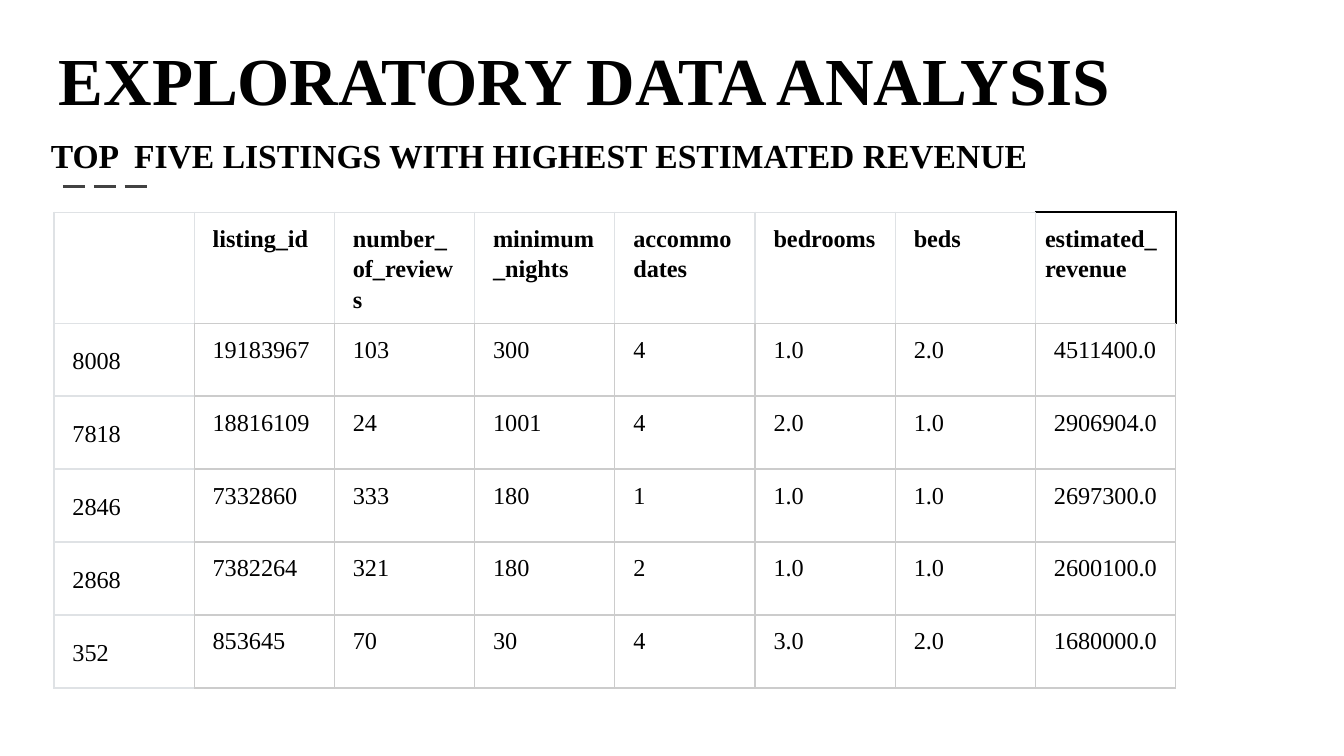
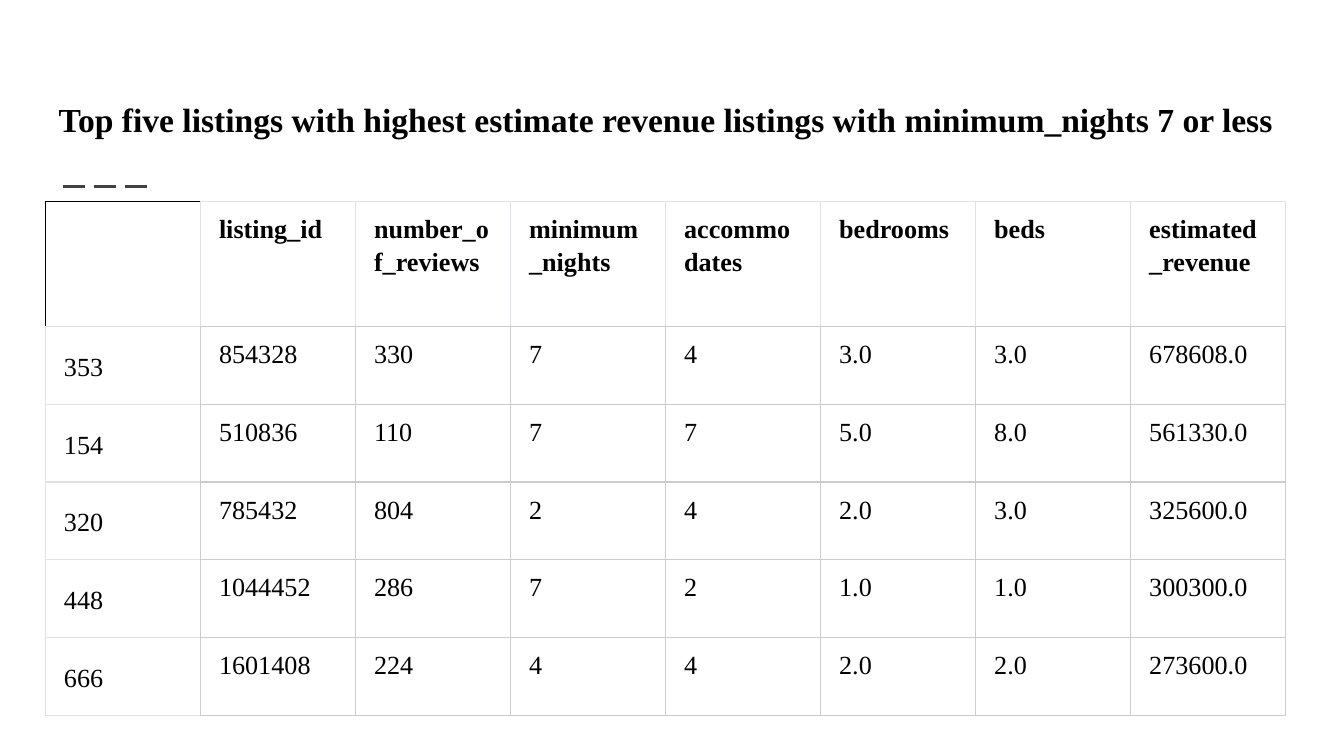
"""Build two slides of listing tables from an exploratory data analysis."""
from dataclasses import dataclass

from lxml import etree
from pptx import Presentation
from pptx import util as u
from pptx.dml.color import RGBColor
from pptx.enum import dml, shapes, text
from pptx.oxml import ns


@dataclass(frozen=True)
class Theme:
    font: str = "Times New Roman"
    ink: str = "000000"
    paper: str = "FFFFFF"
    dash: str = "424242"
    grid: str = "CCCCCC"
    pale: str = "DFE2E5"
    title_pt: int = 36
    lead_pt: int = 18
    spacing: float = 1.15
    text_inset: float = 0.25
    cell_side: float = 0.35
    cell_top: float = 0.18


HEADERS = ["", "listing_id", "number_of_reviews", "minimum_nights",
           "accommodates", "bedrooms", "beds", "estimated_revenue"]

TOP_REVENUE = [
    ["8008", "19183967", "103", "300", "4", "1.0", "2.0", "4511400.0"],
    ["7818", "18816109", "24", "1001", "4", "2.0", "1.0", "2906904.0"],
    ["2846", "7332860", "333", "180", "1", "1.0", "1.0", "2697300.0"],
    ["2868", "7382264", "321", "180", "2", "1.0", "1.0", "2600100.0"],
    ["352", "853645", "70", "30", "4", "3.0", "2.0", "1680000.0"],
]

SHORT_STAYS = [
    ["353", "854328", "330", "7", "4", "3.0", "3.0", "678608.0"],
    ["154", "510836", "110", "7", "7", "5.0", "8.0", "561330.0"],
    ["320", "785432", "804", "2", "4", "2.0", "3.0", "325600.0"],
    ["448", "1044452", "286", "7", "2", "1.0", "1.0", "300300.0"],
    ["666", "1601408", "224", "4", "4", "2.0", "2.0", "273600.0"],
]


class Deck:
    """Hold the theme and the current slide."""

    def __init__(self, theme):
        self.theme = theme
        self.prs = Presentation()
        self.prs.slide_width, self.prs.slide_height = u.Cm(25.4), u.Cm(14.29)
        self.s = None

    def add_slide(self):
        """Start a slide with the dashed rule behind its text."""
        self.s = self.prs.slides.add_slide(self.prs.slide_layouts[1])
        fill = self.s.background.fill
        fill.solid()
        fill.fore_color.rgb = RGBColor.from_string(self.theme.paper)
        self.rule(1.19, 2.9, 3.53)

    def rule(self, x1, x2, y):
        """Draw a dashed horizontal line at the back."""
        line = self.s.shapes.add_connector(
            shapes.MSO_CONNECTOR.STRAIGHT, u.Cm(x1), u.Cm(y), u.Cm(x2), u.Cm(y))
        line.line.color.rgb = RGBColor.from_string(self.theme.dash)
        line.line.width = u.Pt(1.5)
        line.line.dash_style = dml.MSO_LINE.LONG_DASH
        etree.SubElement(line._element.spPr, ns.qn("a:effectLst"))
        self.s.shapes._spTree.insert(2, line._element)

    def add_text(self, p, words, size, bold=True):
        """Add one left-aligned run to a paragraph."""
        p.alignment = text.PP_ALIGN.LEFT
        r = p.add_run()
        r.text = words
        r.font.name, r.font.size, r.font.bold = self.theme.font, u.Pt(size), bold
        r.font.color.rgb = RGBColor.from_string(self.theme.ink)

    def fill_placeholder(self, sp, box, words, size, anchor):
        """Place a placeholder and set its text."""
        sp.left, sp.top, sp.width, sp.height = map(u.Cm, box)
        tf = sp.text_frame
        tf.word_wrap, tf.auto_size = True, text.MSO_AUTO_SIZE.NONE
        tf.vertical_anchor = anchor
        tf.margin_left = tf.margin_right = u.Cm(self.theme.text_inset)
        tf.margin_top = tf.margin_bottom = u.Cm(self.theme.text_inset)
        p = tf.paragraphs[0]
        p.space_before = u.Pt(0)
        self.add_text(p, words, size)
        return p

    def title(self, words=None):
        """Set the title, or drop its placeholder."""
        sp = self.s.shapes.title
        if words:
            self.fill_placeholder(sp, (0.86, 0.46, 23.67, 2.03), words,
                                  self.theme.title_pt, text.MSO_ANCHOR.BOTTOM)
        else:
            sp._element.getparent().remove(sp._element)

    def lead(self, words, box):
        """Set the unbulleted lead line in the body placeholder."""
        p = self.fill_placeholder(self.s.placeholders[1], box, words,
                                  self.theme.lead_pt, text.MSO_ANCHOR.TOP)
        p.line_spacing = self.theme.spacing
        pPr = p._p.get_or_add_pPr()
        pPr.set("marL", "0")
        pPr.set("indent", "0")
        etree.SubElement(pPr, ns.qn("a:buNone"))

    def borders(self, cell, edges):
        """Set the left, right, top and bottom borders of a cell."""
        tcPr = cell._tc.get_or_add_tcPr()
        for side in "LRTB":
            color = edges[side]
            width = u.Pt(1 if color == self.theme.ink else 0.75)
            ln = etree.SubElement(tcPr, ns.qn(f"a:ln{side}"), w=str(width))
            fill = etree.SubElement(ln, ns.qn("a:solidFill"))
            etree.SubElement(fill, ns.qn("a:srgbClr"), val=color)

    def edge_colors(self, row, col):
        """Give the usual border colours for a place in the grid."""
        t = self.theme
        edges = dict.fromkeys("LRTB", t.grid if row and col else t.pale)
        if row and not col:
            edges["R"] = t.grid
        if col and not row:
            edges["B"] = t.grid
        return edges

    def table(self, rows, left, top, col_width, heights, size, accent):
        """Draw the listing table; accent maps a header column to dark sides."""
        grid = [HEADERS] + rows
        head, body = heights
        frame = self.s.shapes.add_table(
            len(grid), len(HEADERS), u.Cm(left), u.Cm(top),
            u.Cm(col_width * len(HEADERS)), u.Cm(head + body * len(rows)))
        table = frame.table
        table.first_row = table.horz_banding = False
        for column in table.columns:
            column.width = u.Cm(col_width)
        for i, values in enumerate(grid):
            table.rows[i].height = u.Cm(body if i else head)
            for j, words in enumerate(values):
                sides = "" if i else accent.get(j, "")
                edges = self.edge_colors(i, j)
                edges.update(dict.fromkeys(sides, self.theme.ink))
                narrow = "R" in sides
                self.cell(table.cell(i, j), words, size, edges, not i,
                          bool(i and not j), narrow)

    def cell(self, cell, words, size, edges, bold, middle, narrow):
        """Format one table cell and set its value."""
        t = self.theme
        side = t.cell_top if narrow else t.cell_side
        cell.margin_left = cell.margin_right = u.Cm(side)
        cell.margin_top = cell.margin_bottom = u.Cm(t.cell_top)
        cell.vertical_anchor = (text.MSO_ANCHOR.MIDDLE if middle
                                else text.MSO_ANCHOR.TOP)
        self.borders(cell, edges)
        cell.fill.background()
        if words:
            p = cell.text_frame.paragraphs[0]
            p.line_spacing = t.spacing
            self.add_text(p, words, size, bold)


def main():
    """Build both slides and save them."""
    deck = Deck(Theme())

    deck.add_slide()
    deck.title("EXPLORATORY DATA ANALYSIS")
    deck.lead("TOP  FIVE LISTINGS WITH HIGHEST ESTIMATED REVENUE",
              (0.71, 2.18, 23.67, 11.86))
    deck.table(TOP_REVENUE, 1.02, 4.01, 2.65, (1.93, 1.38), 13, {7: "TR"})

    deck.add_slide()
    deck.title()
    deck.lead("Top five listings with highest estimate revenue listings "
              "with minimum_nights 7 or less", (0.86, 1.5, 23.67, 11.66))
    deck.table(SHORT_STAYS, 0.86, 3.81, 2.93, (2.36, 1.47), 14, {0: "LT"})

    deck.prs.save("out.pptx")


if __name__ == "__main__":
    main()
